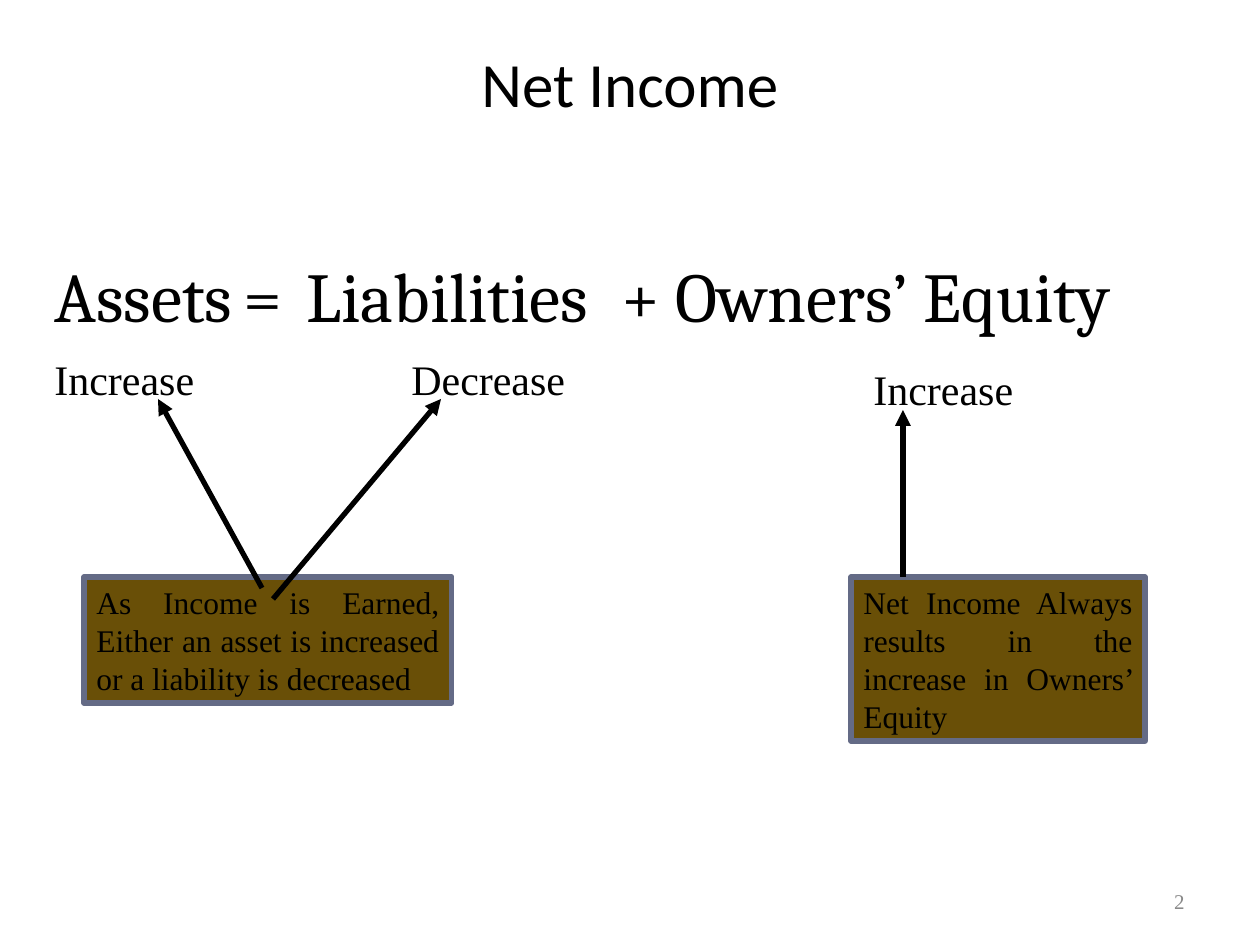
from dataclasses import dataclass

from lxml.etree import SubElement
from pptx import Presentation
from pptx.dml.color import RGBColor
from pptx.enum.shapes import MSO_CONNECTOR, MSO_SHAPE
from pptx.enum.text import MSO_ANCHOR, MSO_AUTO_SIZE, PP_ALIGN
from pptx.oxml.ns import qn
from pptx.util import Emu, Pt

PIXELS_PER_INCH = 126


@dataclass(frozen=True)
class Theme:
    title_font: str = "Calibri"
    equation_font: str = "Cambria"
    text_font: str = "Times New Roman"
    ink: RGBColor = RGBColor(0x00, 0x00, 0x00)
    page_number: RGBColor = RGBColor(0x89, 0x89, 0x89)
    note_fill: RGBColor = RGBColor(0x69, 0x4F, 0x07)
    note_line: RGBColor = RGBColor(0x64, 0x6B, 0x86)
    title_size: int = 36
    equation_size: int = 40
    label_size: int = 24
    note_size: int = 18
    page_number_size: int = 12
    line_width: int = 3


THEME = Theme()


def px(length):
    return Emu(round(length * 914400 / PIXELS_PER_INCH))


def place(shape, left, top, width, height):
    shape.left, shape.top = px(left), px(top)
    shape.width, shape.height = px(width), px(height)


def write(shape, text, font, size, color=THEME.ink, align=PP_ALIGN.LEFT,
          anchor=MSO_ANCHOR.TOP):
    """Fill the first paragraph of a shape with one formatted run."""
    frame = shape.text_frame
    frame.word_wrap = True
    frame.auto_size = MSO_AUTO_SIZE.NONE
    frame.vertical_anchor = anchor
    paragraph = frame.paragraphs[0]
    paragraph.alignment = align
    paragraph.space_before = Pt(0)
    run = paragraph.add_run()
    run.text = text
    run.font.name = font
    run.font.size = Pt(size)
    run.font.color.rgb = color


def add_title(slide, text):
    title = slide.shapes.title
    place(title, 63, 38, 1134, 88)
    write(title, text, THEME.title_font, THEME.title_size,
          align=PP_ALIGN.CENTER, anchor=MSO_ANCHOR.MIDDLE)


def add_equation(slide, text, tab_stops):
    """Set the equation in the body placeholder, its terms parted by tabs."""
    body = slide.placeholders[1]
    place(body, 42, 158, 1176, 624)
    body.text_frame.margin_top = px(95)
    properties = body.text_frame.paragraphs[0]._p.get_or_add_pPr()
    properties.set("marL", "0")
    properties.set("indent", "0")
    SubElement(properties, qn("a:buNone"))
    tab_list = SubElement(properties, qn("a:tabLst"))
    for stop in tab_stops:
        SubElement(tab_list, qn("a:tab"), pos=str(px(stop)), algn="l")
    write(body, text, THEME.equation_font, THEME.equation_size)


def add_text(slide, text, box, size, **style):
    text_box = slide.shapes.add_textbox(*map(px, box))
    write(text_box, text, THEME.text_font, size, **style)


def add_note(slide, text, box):
    note = slide.shapes.add_shape(MSO_SHAPE.RECTANGLE, *map(px, box))
    note.shadow.inherit = False
    note.fill.solid()
    note.fill.fore_color.rgb = THEME.note_fill
    note.line.color.rgb = THEME.note_line
    note.line.width = Pt(THEME.line_width)
    write(note, text, THEME.text_font, THEME.note_size, align=PP_ALIGN.JUSTIFY)


def add_arrow(slide, start, end):
    arrow = slide.shapes.add_connector(
        MSO_CONNECTOR.STRAIGHT, *map(px, (*start, *end)))
    arrow.line.color.rgb = THEME.ink
    arrow.line.width = Pt(THEME.line_width)
    SubElement(arrow.line._get_or_add_ln(), qn("a:tailEnd"), type="triangle")
    SubElement(arrow._element.spPr, qn("a:effectLst"))


def main():
    presentation = Presentation()
    presentation.slide_width, presentation.slide_height = px(1260), px(945)
    slide = presentation.slides.add_slide(presentation.slide_layouts[1])

    add_title(slide, "Net Income")
    add_equation(slide, "Assets\t=\tLiabilities\t+ Owners’ Equity",
                 (207, 277, 607))
    add_text(slide, "2", (903, 876, 294, 50), THEME.page_number_size,
             color=THEME.page_number, align=PP_ALIGN.RIGHT,
             anchor=MSO_ANCHOR.MIDDLE)

    add_note(slide, "As Income is Earned, Either an asset is increased "
             "or a liability is decreased", (84, 577, 368, 126))
    add_note(slide, "Net Income Always results in the increase in "
             "Owners’ Equity", (851, 577, 294, 164))

    for text, box in (("Increase", (42, 347, 179, 63)),
                      ("Decrease", (399, 347, 189, 63)),
                      ("Increase", (861, 357, 179, 63))):
        add_text(slide, text, box, THEME.label_size)

    for start, end in (((262, 588), (158, 399)),
                       ((273, 599), (441, 399)),
                       ((903, 577), (903, 410))):
        add_arrow(slide, start, end)

    presentation.save("out.pptx")


if __name__ == "__main__":
    main()
